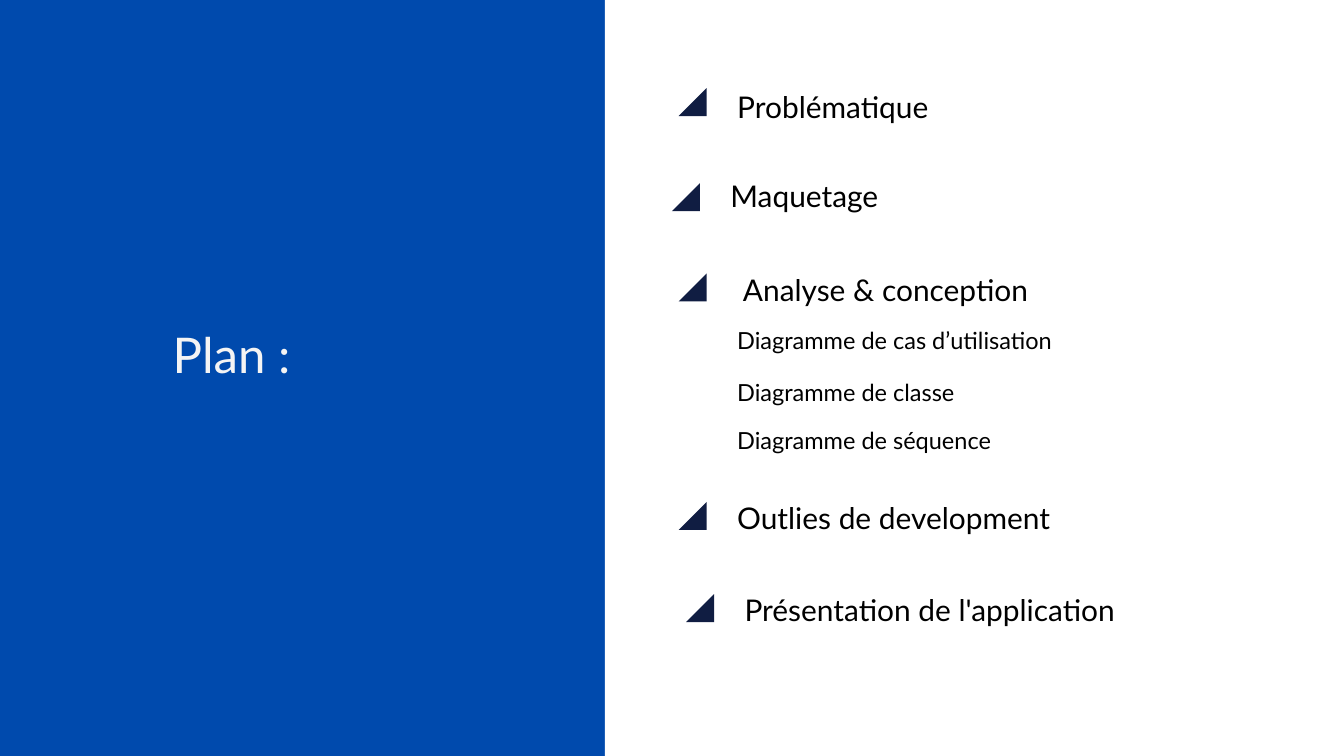
from dataclasses import dataclass

from lxml.etree import SubElement
from pptx import Presentation
from pptx.dml.color import RGBColor
from pptx.enum.shapes import MSO_SHAPE
from pptx.enum.text import MSO_ANCHOR, MSO_AUTO_SIZE, PP_ALIGN
from pptx.oxml.ns import qn
from pptx.util import Pt


@dataclass(frozen=True)
class Theme:
    font: str = "Lato"
    blue: RGBColor = RGBColor(0x00, 0x4A, 0xAD)
    panel: RGBColor = RGBColor(0xFF, 0xFF, 0xFF)
    marker: RGBColor = RGBColor(0x10, 0x1D, 0x42)
    heading: RGBColor = RGBColor(0xF4, 0xF4, 0xF4)
    text: RGBColor = RGBColor(0, 0, 0)
    heading_size: float = 52.7
    item_size: float = 32
    subitem_size: float = 25.2


theme = Theme()


def prepare_frame(placeholder, left, top, width, height):
    """Move a placeholder and clear its margins and automatic fitting."""
    placeholder.left, placeholder.top = Pt(left), Pt(top)
    placeholder.width, placeholder.height = Pt(width), Pt(height)
    frame = placeholder.text_frame
    frame.margin_left = frame.margin_right = frame.margin_top = frame.margin_bottom = 0
    frame.word_wrap = True
    frame.auto_size = MSO_AUTO_SIZE.NONE
    frame.vertical_anchor = MSO_ANCHOR.TOP
    return frame


def write_line(paragraph, text, size, line_height, color, gap=0, indent=0):
    properties = paragraph._p.get_or_add_pPr()
    properties.set("marL", str(Pt(indent)))
    properties.set("indent", "0")
    SubElement(properties, qn("a:buNone"))
    paragraph.alignment = PP_ALIGN.LEFT
    paragraph.line_spacing = Pt(line_height)
    paragraph.space_before = Pt(gap)
    paragraph.space_after = Pt(0)
    run = paragraph.add_run()
    run.text = text
    run.font.name = theme.font
    run.font.size = Pt(size)
    run.font.color.rgb = color


prs = Presentation()
prs.slide_width, prs.slide_height = Pt(1440), Pt(810)
slide = prs.slides.add_slide(prs.slide_layouts[1])
slide.background.fill.solid()
slide.background.fill.fore_color.rgb = theme.blue
heading, agenda = slide.placeholders

# White panel, placed behind the text
panel = slide.shapes.add_shape(MSO_SHAPE.RECTANGLE, Pt(648), 0, Pt(792), Pt(810))
panel.shadow.inherit = False
panel.fill.solid()
panel.fill.fore_color.rgb = theme.panel
panel.line.fill.background()
heading.element.addprevious(panel.element)

# Heading
heading_frame = prepare_frame(heading, 185, 347, 168.5, 64)
write_line(heading_frame.paragraphs[0], "Plan :", theme.heading_size, 63.3, theme.heading)

# Agenda: text, is a subitem, gap above, indent
agenda_lines = [
    ("Problématique", False, 0, 7.2),
    ("Maquetage", False, 50.2, 0),
    ("Analyse & conception", False, 56, 13.4),
    ("Diagramme de cas d’utilisation", True, 15, 7.2),
    ("Diagramme de classe", True, 20.1, 7.2),
    ("Diagramme de séquence", True, 16.5, 7.2),
    ("Outlies de development", False, 42.5, 7.2),
    ("Présentation de l'application", False, 53.1, 15.1),
]
agenda_frame = prepare_frame(agenda, 782.6, 88.6, 622, 584)
for number, (text, is_subitem, gap, indent) in enumerate(agenda_lines):
    line = agenda_frame.add_paragraph() if number else agenda_frame.paragraphs[0]
    size, line_height = (theme.subitem_size, 35.3) if is_subitem else (theme.item_size, 44.8)
    write_line(line, text, size, line_height, theme.text, gap, indent)

# Triangular markers beside the main items
for left, top in [(727.2, 94.3), (720, 196.2), (727.2, 293), (727.2, 537.8), (735.1, 636.5)]:
    marker = slide.shapes.add_shape(MSO_SHAPE.RIGHT_TRIANGLE, Pt(left), Pt(top), Pt(30), Pt(30))
    marker.rotation = 270
    marker.shadow.inherit = False
    marker.fill.solid()
    marker.fill.fore_color.rgb = theme.marker
    marker.line.fill.background()

prs.save("out.pptx")
